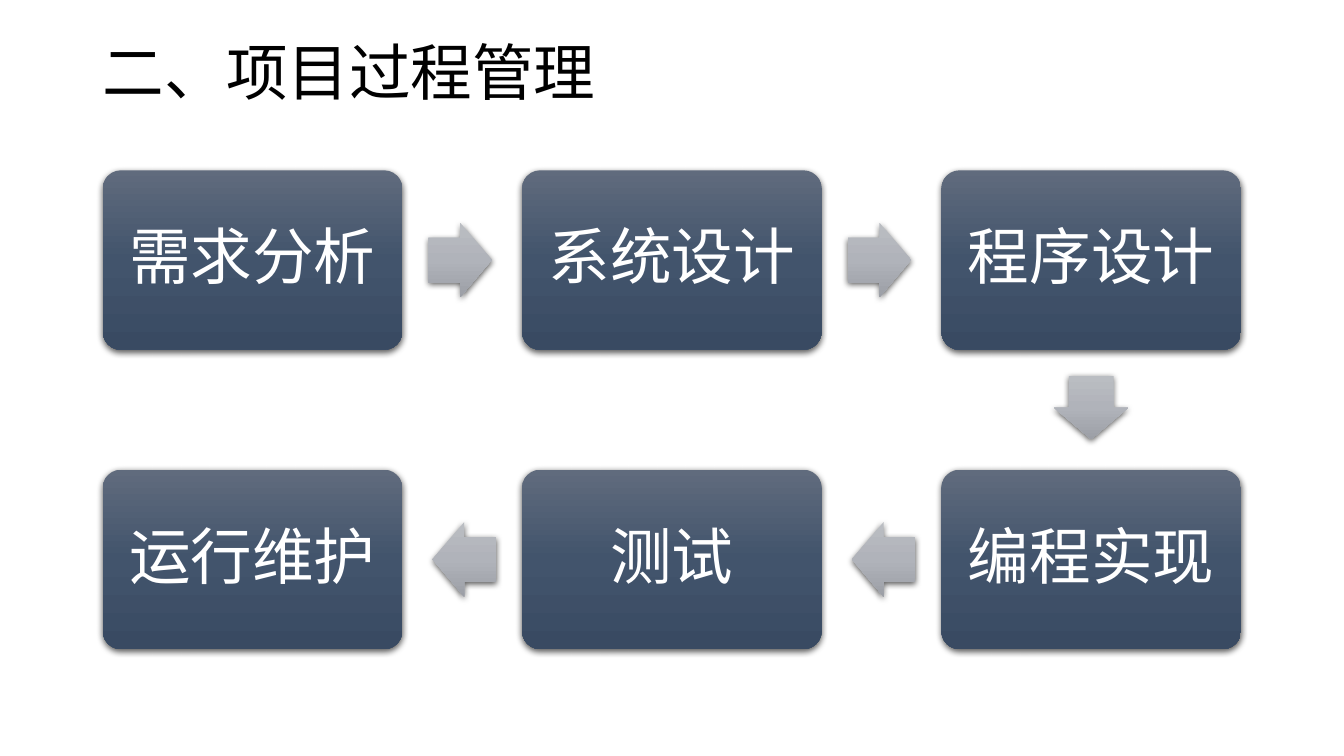
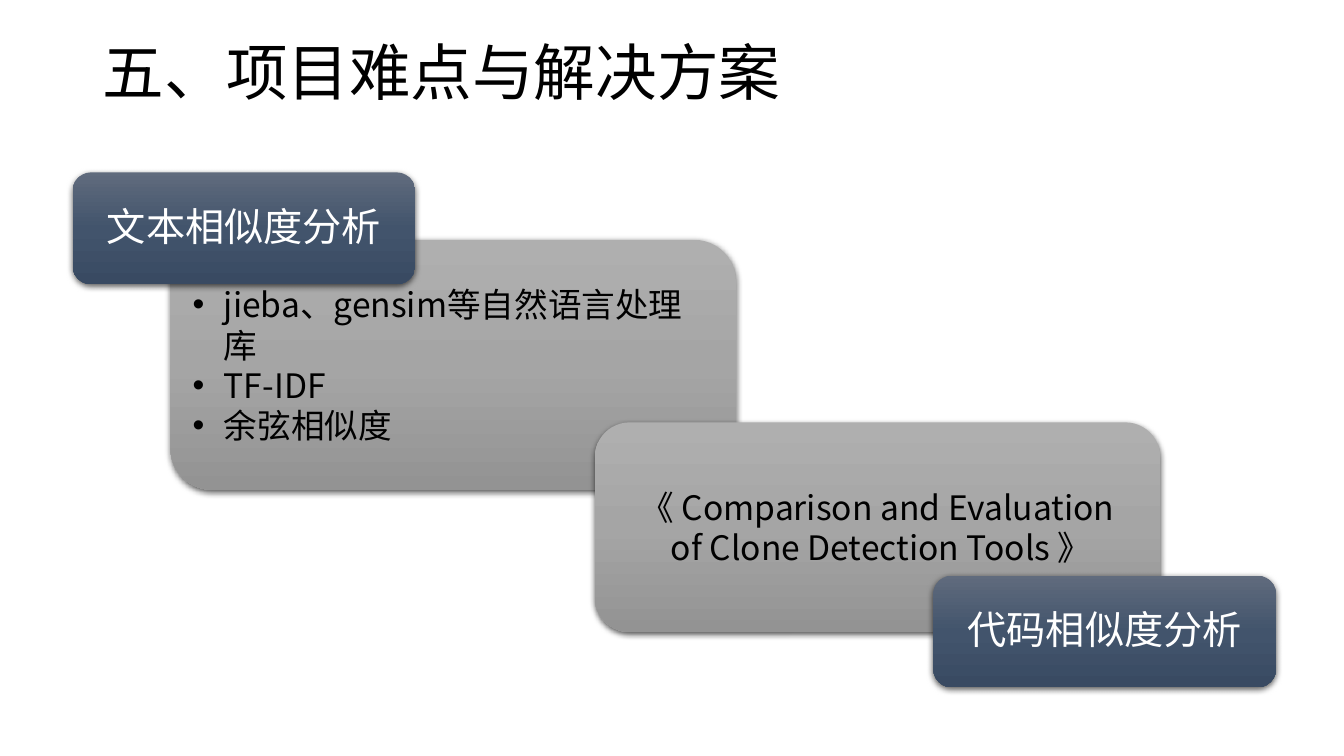
import dataclasses
import itertools
import math

import pptx
import pptx.dml.color
import pptx.enum.shapes
import pptx.enum.text
import pptx.oxml
import pptx.oxml.ns
import pptx.util

FONT = "Noto Sans CJK SC"
INK = {"dark": "000000", "light": "FFFFFF"}
FADES = {
    "navy": ("606B7D", "42546C", "394A62"),
    "ash": ("AFAFAF", "A5A5A5", "939393"),
    "mist": ("BABDC2", "B0B3BA", "9C9FA6"),
}
ROUND = pptx.enum.shapes.MSO_SHAPE.ROUNDED_RECTANGLE
ARROW = pptx.enum.shapes.MSO_SHAPE.RIGHT_ARROW
ALIGN = pptx.enum.text.PP_ALIGN
MIDDLE = pptx.enum.text.MSO_ANCHOR.MIDDLE
NS = pptx.oxml.ns.nsdecls("a")

deck = pptx.Presentation()
deck.slide_width = pptx.util.Inches(40 / 3)
deck.slide_height = pptx.util.Inches(7.5)


@dataclasses.dataclass(frozen=True)
class Area:
    """A rectangle in percent of the slide's width and height."""
    left: float
    top: float
    wide: float
    high: float

    def place(self) -> tuple[int, ...]:
        """Return left, top, width and height in EMU."""
        w, h = deck.slide_width, deck.slide_height
        return tuple(round(share * size / 100) for share, size in
                     zip((self.left, self.top, self.wide, self.high), (w, h, w, h)))

    def shrink(self, dx: float, dy: float) -> "Area":
        """Return the area with a margin taken off each side."""
        return Area(self.left + dx, self.top + dy,
                    self.wide - 2 * dx, self.high - 2 * dy)


@dataclasses.dataclass(frozen=True)
class Type:
    """How a block of text is set."""
    size: int
    ink: str
    align: int = ALIGN.CENTER
    lead: float | pptx.util.Length = 0.9
    inset: float = 0.1


@dataclasses.dataclass(frozen=True)
class Step:
    """A process step at a column and row of the grid."""
    text: str
    col: int
    row: int


@dataclasses.dataclass(frozen=True)
class Card:
    """A topic label."""
    text: str
    area: Area


LEAD = pptx.util.Pt(28.8)
HEAD = Type(44, "dark", ALIGN.LEFT)
STEP = Type(44, "light", inset=0.18)
LABEL = Type(28, "light", inset=0.17)
QUOTE = Type(24, "dark", lead=LEAD)
LIST = Type(24, "dark", ALIGN.LEFT, LEAD)


def write(shape, lines: list[str], kind: Type) -> None:
    """Fill a shape with text, one paragraph a line."""
    frame = shape.text_frame
    frame.text = "\n".join(lines)
    frame.word_wrap = True
    frame.auto_size = pptx.enum.text.MSO_AUTO_SIZE.NONE
    frame.vertical_anchor = MIDDLE
    frame.margin_left = frame.margin_right = pptx.util.Inches(kind.inset)
    frame.margin_top = frame.margin_bottom = pptx.util.Inches(0.05)
    for para in frame.paragraphs:
        para.alignment = kind.align
        para.line_spacing = kind.lead
        para.space_before = para.space_after = pptx.util.Pt(0)
        for run in para.runs:
            font = run.font
            font.size = pptx.util.Pt(kind.size)
            font.name = FONT
            font.color.rgb = pptx.dml.color.RGBColor.from_string(INK[kind.ink])
            font.fill.fore_color.rgb  # solid fill precedes the typeface
            latin = run.font._element.find(pptx.oxml.ns.qn("a:latin"))
            latin.addnext(pptx.oxml.parse_xml(f'<a:ea {NS} typeface="{FONT}"/>'))


def move(shape, area: Area) -> None:
    """Put a placeholder on an area."""
    shape.left, shape.top, shape.width, shape.height = area.place()


def block(slide, form: int, area: Area, fade: str):
    """Draw a shape with a vertical fade and a soft shadow."""
    shape = slide.shapes.add_shape(form, *area.place())
    shape.line.fill.background()
    shape.shadow.inherit = False
    props = shape.element.spPr
    stops = "".join(f'<a:gs pos="{pos}"><a:srgbClr val="{tone}"/></a:gs>'
                    for pos, tone in zip((0, 50000, 100000), FADES[fade]))
    props.find(pptx.oxml.ns.qn("a:ln")).addprevious(pptx.oxml.parse_xml(
        f'<a:gradFill {NS} rotWithShape="0"><a:gsLst>{stops}</a:gsLst>'
        '<a:lin ang="5400000" scaled="0"/></a:gradFill>'))
    props.find(pptx.oxml.ns.qn("a:effectLst")).append(pptx.oxml.parse_xml(
        f'<a:outerShdw {NS} blurRad="57150" dist="19050" dir="5400000" '
        'algn="ctr" rotWithShape="0"><a:srgbClr val="000000">'
        '<a:alpha val="63000"/></a:srgbClr></a:outerShdw>'))
    return shape


def start(title: str, layout: int):
    """Add a slide with the shared title style."""
    slide = deck.slides.add_slide(deck.slide_layouts[layout])
    head = slide.shapes.title
    move(head, Area(6.9, 5.33, 86.25, 19.33))
    write(head, [title], HEAD)
    head.text_frame.margin_bottom = pptx.util.Inches(0.8)
    return slide


def cell(step: Step) -> Area:
    """Return the area of a step on the process grid."""
    return Area(7.65 + 31.2 * step.col, 22.53 + 39.6 * step.row, 22.28, 23.73)


def link(slide, tail: Step, tip: Step) -> None:
    """Draw the block arrow midway between two steps."""
    a, b = cell(tail), cell(tip)
    dx, dy = tip.col - tail.col, tip.row - tail.row
    wide, high = 4.73, 9.87
    left = (a.left + b.left + a.wide - wide) / 2 - 0.15 * dx
    top = (a.top + b.top + a.high - high) / 2 - 0.27 * dy
    arrow = block(slide, ARROW, Area(left, top, wide, high), "mist")
    arrow.adjustments[0] = 0.6
    arrow.rotation = math.degrees(math.atan2(dy, dx))


def flow() -> None:
    """Build the process slide."""
    slide = start("二、项目过程管理", 5)
    steps = [Step("需求分析", 0, 0), Step("系统设计", 1, 0), Step("程序设计", 2, 0),
             Step("编程实现", 2, 1), Step("测试", 1, 1), Step("运行维护", 0, 1)]
    for step in steps:
        box = block(slide, ROUND, cell(step), "navy")
        box.adjustments[0] = 0.1
        write(box, [step.text], STEP)
    for tail, tip in itertools.pairwise(steps):
        link(slide, tail, tip)


def bullet(para) -> None:
    """Give a paragraph a round bullet and a hanging indent."""
    props = para._p.get_or_add_pPr()
    dent = pptx.util.Inches(0.31)
    props.set("marL", str(dent))
    props.set("indent", str(-dent))
    props.append(pptx.oxml.parse_xml(f'<a:buFont {NS} typeface="Arial"/>'))
    props.append(pptx.oxml.parse_xml(f'<a:buChar {NS} char="•"/>'))


def label(slide, card: Card) -> None:
    """Draw a topic label."""
    write(block(slide, ROUND, card.area, "navy"), [card.text], LABEL)


def topics() -> None:
    """Build the slide of problems and solutions."""
    slide = start("五、项目难点与解决方案", 1)
    area = Area(12.68, 31.73, 42.08, 33.07)
    panel = block(slide, ROUND, area, "ash")
    body = slide.placeholders[1]
    move(body, area.shrink(0.9, 1.6))
    write(body, ["jieba、gensim等自然语言处理库", "TF-IDF", "余弦相似度"], LIST)
    for para in body.text_frame.paragraphs:
        bullet(para)
    panel.element.addnext(body.element)
    label(slide, Card("文本相似度分析", Area(5.4, 22.8, 25.5, 14.8)))
    paper = block(slide, ROUND, Area(44.25, 55.87, 42.08, 27.73), "ash")
    write(paper, ["《 Comparison and Evaluation", " of Clone Detection Tools 》"], QUOTE)
    label(slide, Card("代码相似度分析", Area(69.45, 76.13, 25.5, 14.8)))


flow()
topics()
deck.save("out.pptx")
